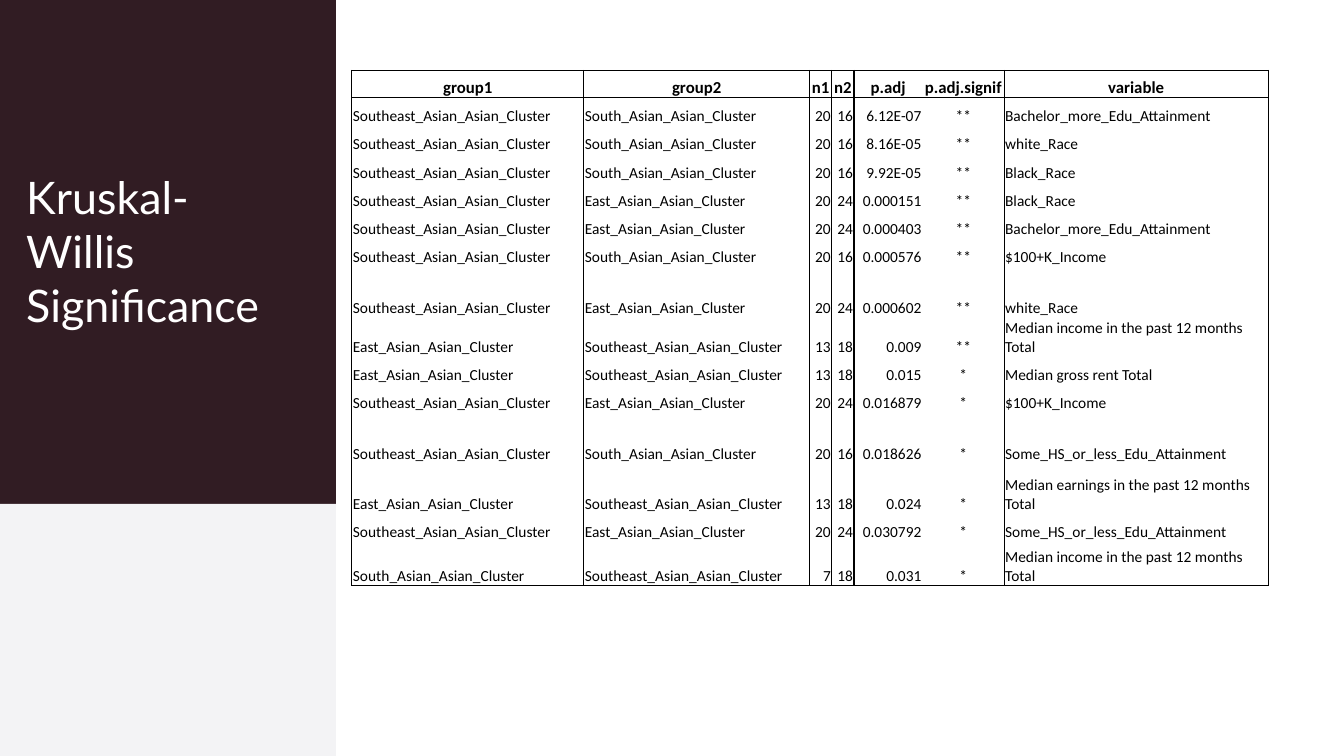
from lxml import etree
from pptx import Presentation, util as u
from pptx.dml.color import RGBColor
from pptx.enum import shapes, text
from pptx.oxml import ns

DARK = RGBColor(0x31, 0x1C, 0x23)
PALE = RGBColor(0xF3, 0xF3, 0xF5)
WHITE = RGBColor(0xFF, 0xFF, 0xFF)
BLACK = RGBColor(0, 0, 0)

WIDTH, HEIGHT = u.Inches(13.33), u.Inches(7.5)
SIDEBAR = 1 / 4  # share of the slide's width
SPLIT = 2 / 3  # share of the slide's height
PLAIN_TABLE_STYLE = "{2D5ABB26-0587-4C30-8999-92F81FD0307C}"

SOUTHEAST = "Southeast_Asian_Asian_Cluster"
SOUTH = "South_Asian_Asian_Cluster"
EAST = "East_Asian_Asian_Cluster"
INCOME = "Median income in the past 12 months Total"
EARNINGS = "Median earnings in the past 12 months Total"

HEADINGS = ("group1", "group2", "n1", "n2", "p.adj", "p.adj.signif", "variable")
RESULTS = [
    (SOUTHEAST, SOUTH, "20", "16", "6.12E-07", "**", "Bachelor_more_Edu_Attainment"),
    (SOUTHEAST, SOUTH, "20", "16", "8.16E-05", "**", "white_Race"),
    (SOUTHEAST, SOUTH, "20", "16", "9.92E-05", "**", "Black_Race"),
    (SOUTHEAST, EAST, "20", "24", "0.000151", "**", "Black_Race"),
    (SOUTHEAST, EAST, "20", "24", "0.000403", "**", "Bachelor_more_Edu_Attainment"),
    (SOUTHEAST, SOUTH, "20", "16", "0.000576", "**", "$100+K_Income"),
    (SOUTHEAST, EAST, "20", "24", "0.000602", "**", "white_Race"),
    (EAST, SOUTHEAST, "13", "18", "0.009", "**", INCOME),
    (EAST, SOUTHEAST, "13", "18", "0.015", "*", "Median gross rent Total"),
    (SOUTHEAST, EAST, "20", "24", "0.016879", "*", "$100+K_Income"),
    (SOUTHEAST, SOUTH, "20", "16", "0.018626", "*", "Some_HS_or_less_Edu_Attainment"),
    (EAST, SOUTHEAST, "13", "18", "0.024", "*", EARNINGS),
    (SOUTHEAST, EAST, "20", "24", "0.030792", "*", "Some_HS_or_less_Edu_Attainment"),
    (SOUTH, SOUTHEAST, "7", "18", "0.031", "*", INCOME),
]
COLUMN_WIDTHS = (2.3, 2.24, 0.22, 0.22, 0.68, 0.81, 2.62)
ROW_HEIGHT = 0.28
SPECIAL_HEIGHTS = {0: 0.27, 7: 0.5, 11: 0.5, 12: 0.5, 14: 0.43}
LEFT, CENTER, RIGHT = (text.PP_ALIGN.LEFT, text.PP_ALIGN.CENTER, text.PP_ALIGN.RIGHT)
ALIGNMENTS = (LEFT, LEFT, RIGHT, RIGHT, RIGHT, CENTER, LEFT)
P_VALUE, SIGNIFICANCE = 4, 5  # these two columns share one frame


def set_font(para, name, size, color, bold=False):
    font = para.font
    font.name, font.size, font.bold = name, u.Pt(size), bold
    font.color.rgb = color


def add_panel(page, top, bottom, color):
    """Fill the sidebar between two shares of the height, behind the title."""
    panel = page.shapes.add_shape(
        shapes.MSO_SHAPE.RECTANGLE, 0, round(HEIGHT * top),
        round(WIDTH * SIDEBAR), round(HEIGHT * (bottom - top)))
    panel.shadow.inherit = False
    panel.fill.solid()
    panel.fill.fore_color.rgb = color
    panel.line.fill.background()
    page.shapes.title._element.addprevious(panel._element)


def set_title(page, wording):
    title = page.shapes.title
    title.left, title.top = u.Inches(0.16), u.Inches(0.43)
    title.width, title.height = u.Inches(2.87), u.Inches(4.11)
    frame = title.text_frame
    frame.text = wording
    frame.word_wrap = True
    frame.auto_size = text.MSO_AUTO_SIZE.NONE
    frame.vertical_anchor = text.MSO_ANCHOR.MIDDLE
    para = frame.paragraphs[0]
    para.alignment, para.space_after = LEFT, u.Pt(6)
    set_font(para, "Lato", 32, WHITE)


def set_borders(cell, sides):
    """Rule the sides named by the letters L, R, T and B; clear the others."""
    properties = cell._tc.get_or_add_tcPr()
    for place, side in enumerate("LRTB"):
        line = etree.Element(ns.qn(f"a:ln{side}"), w=str(u.Pt(1)))
        if side in sides:
            fill = etree.SubElement(line, ns.qn("a:solidFill"))
            etree.SubElement(fill, ns.qn("a:srgbClr"), val=str(BLACK))
        else:
            etree.SubElement(line, ns.qn("a:noFill"))
        properties.insert(place, line)


def border_sides(row, column, last_row):
    sides = "" if column == SIGNIFICANCE else "L"
    sides += "" if column == P_VALUE else "R"
    sides += "T" if row < 2 else ""
    return sides + ("B" if row in (0, last_row) else "")


def fill_cell(cell, wording, heading, alignment):
    cell.text = wording
    cell.fill.background()
    cell.vertical_anchor = text.MSO_ANCHOR.BOTTOM
    cell.margin_left = cell.margin_right = cell.margin_top = u.Inches(0 if heading else 0.01)
    cell.margin_bottom = 0
    para = cell.text_frame.paragraphs[0]
    para.alignment = CENTER if heading else alignment
    set_font(para, "Calibri", 12 if heading else 11, BLACK, bold=heading)


def add_results_table(page):
    rows = [HEADINGS] + RESULTS
    heights = [SPECIAL_HEIGHTS.get(row, ROW_HEIGHT) for row in range(len(rows))]
    table = page.shapes.add_table(
        len(rows), len(HEADINGS), u.Inches(3.49), u.Inches(0.7),
        u.Inches(sum(COLUMN_WIDTHS)), u.Inches(sum(heights))).table
    table.first_row = table.horz_banding = False
    table._tbl.tblPr.find(ns.qn("a:tableStyleId")).text = PLAIN_TABLE_STYLE
    for column, width in zip(table.columns, COLUMN_WIDTHS):
        column.width = u.Inches(width)
    for r, (wordings, height) in enumerate(zip(rows, heights)):
        table.rows[r].height = u.Inches(height)
        for c, (wording, alignment) in enumerate(zip(wordings, ALIGNMENTS)):
            cell = table.cell(r, c)
            fill_cell(cell, wording, r == 0, alignment)
            set_borders(cell, border_sides(r, c, len(rows) - 1))


def main():
    deck = Presentation()
    deck.slide_width, deck.slide_height = WIDTH, HEIGHT
    page = deck.slides.add_slide(deck.slide_layouts.get_by_name("Title Only"))
    add_panel(page, 0, SPLIT, DARK)
    add_panel(page, SPLIT, 1, PALE)
    set_title(page, "Kruskal-Willis Significance")
    add_results_table(page)
    deck.save("out.pptx")


if __name__ == "__main__":
    main()
